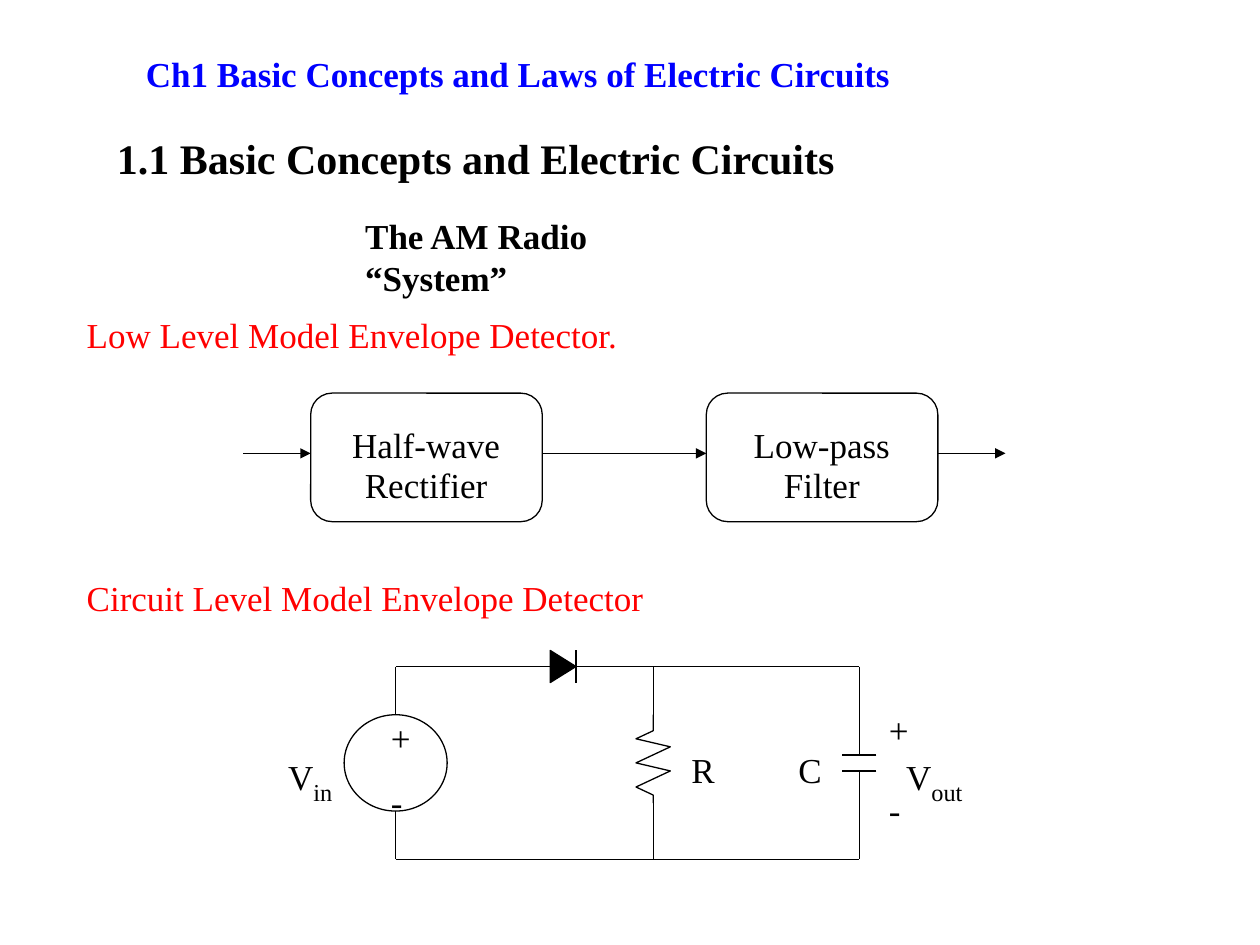
from dataclasses import dataclass

from lxml.etree import SubElement
from pptx import Presentation
from pptx.dml.color import RGBColor
from pptx.enum.shapes import MSO_CONNECTOR, MSO_SHAPE
from pptx.enum.text import MSO_ANCHOR, PP_ALIGN
from pptx.oxml.ns import qn
from pptx.util import Inches, Pt

FONT = "Times New Roman"
BLACK, BLUE, RED = "000000", "0000FF", "FF0000"
LINE_WIDTH = Pt(0.75)
TEXT_DROP = 0.03


@dataclass
class Grid:
    """A box on the slide divided into columns and rows."""
    left: float
    top: float
    width: float
    height: float
    columns: int
    rows: int

    def x(self, column):
        return self.left + column * self.width / self.columns

    def y(self, row):
        return self.top + row * self.height / self.rows

    def point(self, column, row):
        return Inches(self.x(column)), Inches(self.y(row))

    def span(self, column, row, columns, rows):
        return (*self.point(column, row),
                Inches(columns * self.width / self.columns),
                Inches(rows * self.height / self.rows))


def color(value):
    return RGBColor.from_string(value)


def add_text(slide, left, top, width, height, text, size=20, fill=BLACK,
             bold=False, align=PP_ALIGN.LEFT, subscript=None):
    box = slide.shapes.add_textbox(Inches(left), Inches(top + TEXT_DROP),
                                   Inches(width), Inches(height))
    text_frame = box.text_frame
    text_frame.word_wrap = True
    text_frame.text = text
    paragraph = text_frame.paragraphs[0]
    paragraph.alignment = align
    if subscript:
        run = paragraph.add_run()
        run.text = subscript
    for run in paragraph.runs:
        run.font.name = FONT
        run.font.size = Pt(size)
        run.font.bold = bold
        run.font.color.rgb = color(fill)
    if subscript:
        run.font.size = Pt(24)
        run.font._element.set("baseline", "-25000")
    return text_frame


def add_line(slide, grid, start, end, arrow=False):
    line = slide.shapes.add_connector(MSO_CONNECTOR.STRAIGHT,
                                      *grid.point(*start), *grid.point(*end))
    line.line.width = LINE_WIDTH
    line.line.color.rgb = color(BLACK)
    if arrow:
        SubElement(line.line._get_or_add_ln(), qn("a:tailEnd"), type="triangle")
    SubElement(line._element.spPr, qn("a:effectLst"))


def style_outline(shape, fill=None):
    shape.shadow.inherit = False
    shape.line.width = LINE_WIDTH
    shape.line.color.rgb = color(BLACK)
    if fill:
        shape.fill.solid()
        shape.fill.fore_color.rgb = color(fill)
    else:
        shape.fill.background()


def add_outline(slide, grid, points, close=False, fill=None):
    first, *others = [grid.point(*point) for point in points]
    builder = slide.shapes.build_freeform(*first)
    builder.add_line_segments(others, close=close)
    style_outline(builder.convert_to_shape(), fill)


def add_headings(slide):
    title = add_text(slide, 1.06, 0.28, 8.19, 0.55,
                     "Ch1 Basic Concepts and Laws of Electric Circuits",
                     fill=BLUE, bold=True)
    title.vertical_anchor = MSO_ANCHOR.MIDDLE
    add_text(slide, 0.83, 0.97, 6.08, 0.5,
             "1.1 Basic Concepts and Electric Circuits", size=24, bold=True)
    system = add_text(slide, 2.8, 1.62, 3.1, 0.77, "The AM Radio “System”", bold=True)
    system.paragraphs[0].line_spacing = Pt(24)
    add_text(slide, 0.59, 2.41, 5.83, 0.44,
             "Low Level Model Envelope Detector.", fill=RED)
    add_text(slide, 0.59, 4.5, 6.46, 0.44,
             "Circuit Level Model Envelope Detector", fill=RED)


def add_block_diagram(slide, grid):
    middle = 7.5
    # Signal arrows
    for start, end in ((0, 7), (31, 48), (72, 79)):
        add_line(slide, grid, (start, middle), (end, middle), arrow=True)

    # Blocks with two lines of label
    for column, words in ((7, ("Half-wave", "Rectifier")),
                          (48, ("Low-pass", "Filter"))):
        block = slide.shapes.add_shape(MSO_SHAPE.ROUNDED_RECTANGLE,
                                       *grid.span(column, 0, 24, grid.rows))
        style_outline(block)
        for row, word in zip((2.5, middle), words):
            add_text(slide, grid.x(column + 1), grid.y(row), 1.68, 0.44, word,
                     align=PP_ALIGN.CENTER)


def add_circuit(slide, grid):
    bottom, right, resistor = grid.rows, grid.columns, 15

    # Source
    source = slide.shapes.add_shape(MSO_SHAPE.OVAL, *grid.span(-3, 3, 6, 6))
    style_outline(source)

    # Wires, diode bar and capacitor plates
    for start, end in (
        ((0, 3), (0, 0)), ((0, 0), (right, 0)),
        ((0, 9), (0, bottom)), ((0, bottom), (right, bottom)),
        ((resistor, 0), (resistor, 3)), ((resistor, 8.5), (resistor, bottom)),
        ((right, 0), (right, 5.5)), ((right, 6.5), (right, bottom)),
        ((10.5, -1), (10.5, 1)),
        ((right + 1, 5.5), (right - 1, 5.5)),
        ((right + 1, 6.5), (right - 1, 6.5)),
    ):
        add_line(slide, grid, start, end)

    # Diode and resistor
    add_outline(slide, grid, ((9, -1), (10.5, 0), (9, 1)), close=True, fill=BLACK)
    zigzag = ((0, 3), (0, 4), (-1, 4.5), (1, 5), (-1, 6), (1, 6.5),
              (-1, 7.5), (0, 8), (0, 8.5))
    add_outline(slide, grid, [(resistor + shift, row) for shift, row in zigzag])

    # Polarity signs
    for column, row, sign in ((-1, 2.5, "+"), (-1, 6.5, "-"),
                              (28, 2, "+"), (28, 7, "-")):
        add_text(slide, grid.x(column), grid.y(row), 0.27, 0.44, sign,
                 align=PP_ALIGN.CENTER)

    # Component and voltage names
    for column, width, height, name, subscript, align in (
        (16.5, 0.55, 0.44, "R", None, PP_ALIGN.LEFT),
        (21.5, 0.55, 0.44, "C", None, PP_ALIGN.RIGHT),
        (29, 0.89, 0.56, "V", "out", PP_ALIGN.LEFT),
        (-9.5, 0.89, 0.56, "V", "in", PP_ALIGN.RIGHT),
    ):
        add_text(slide, grid.x(column), grid.y(4.5), width, height, name,
                 align=align, subscript=subscript)


def main():
    presentation = Presentation()
    presentation.slide_width = Inches(10)
    presentation.slide_height = Inches(7.5)
    slide = presentation.slides.add_slide(presentation.slide_layouts[6])
    add_headings(slide)
    add_block_diagram(slide, Grid(1.93, 3.12, 6.05, 1.02, columns=79, rows=16))
    add_circuit(slide, Grid(3.14, 5.29, 3.68, 1.53, columns=27, rows=12))
    presentation.save("out.pptx")


if __name__ == "__main__":
    main()
